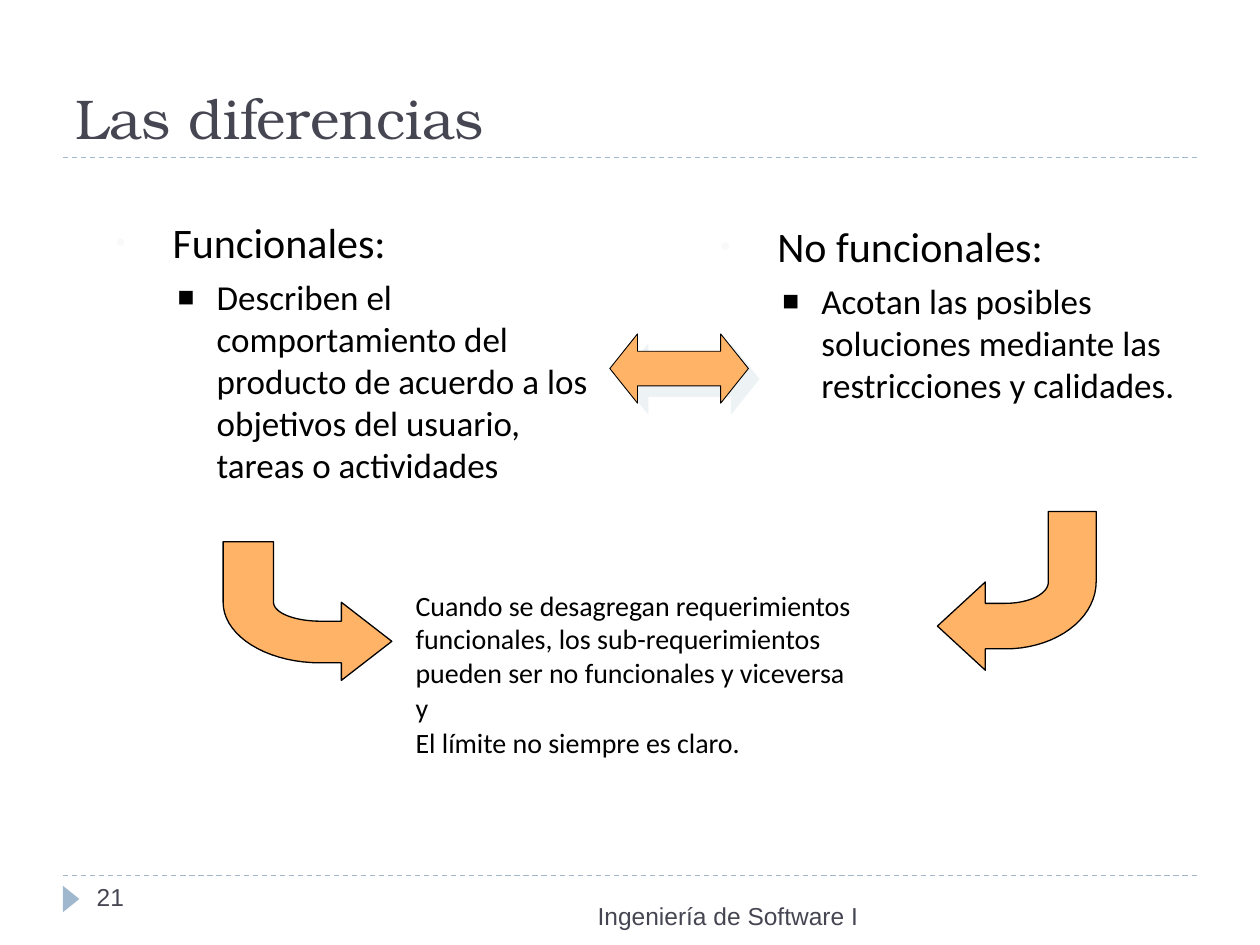
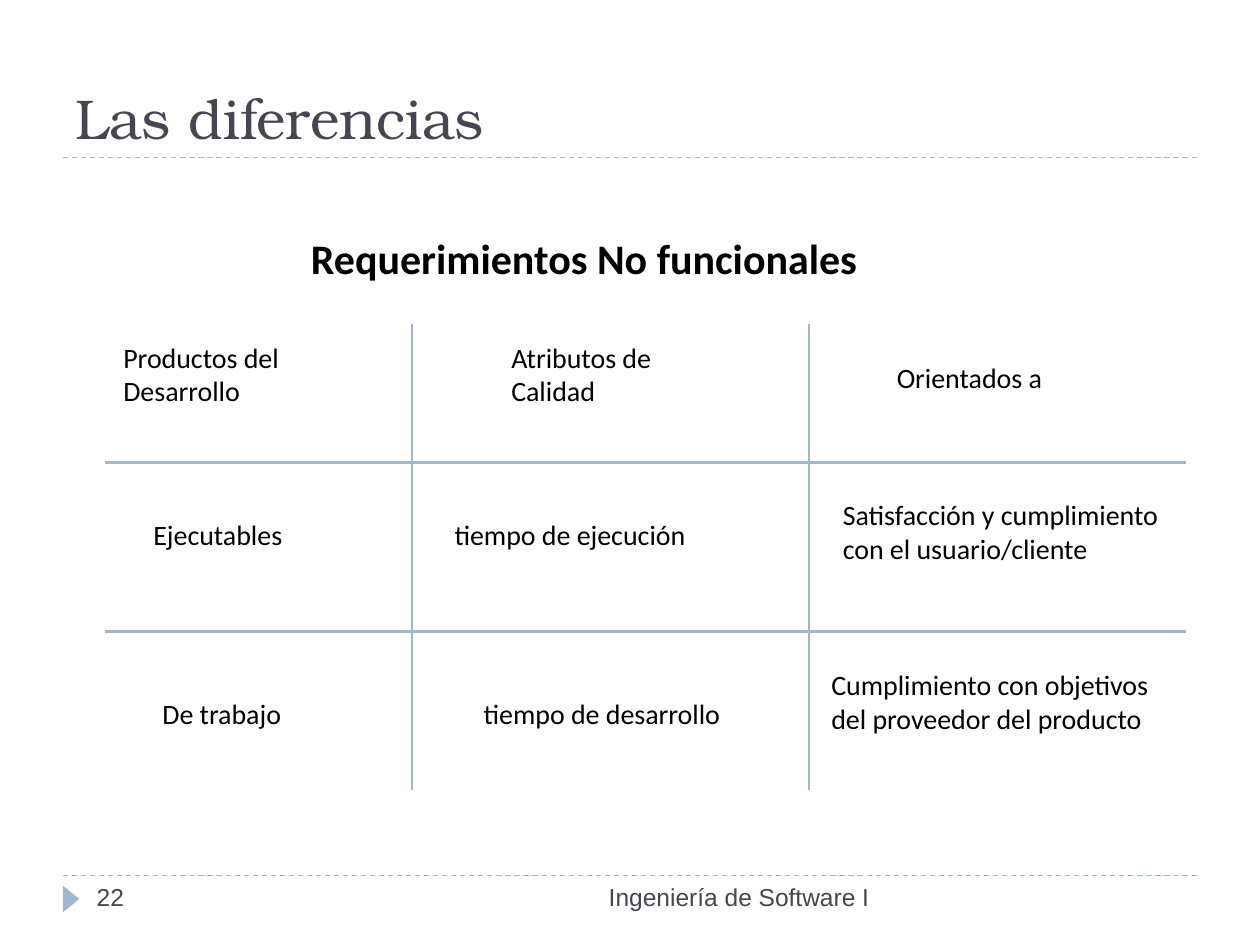
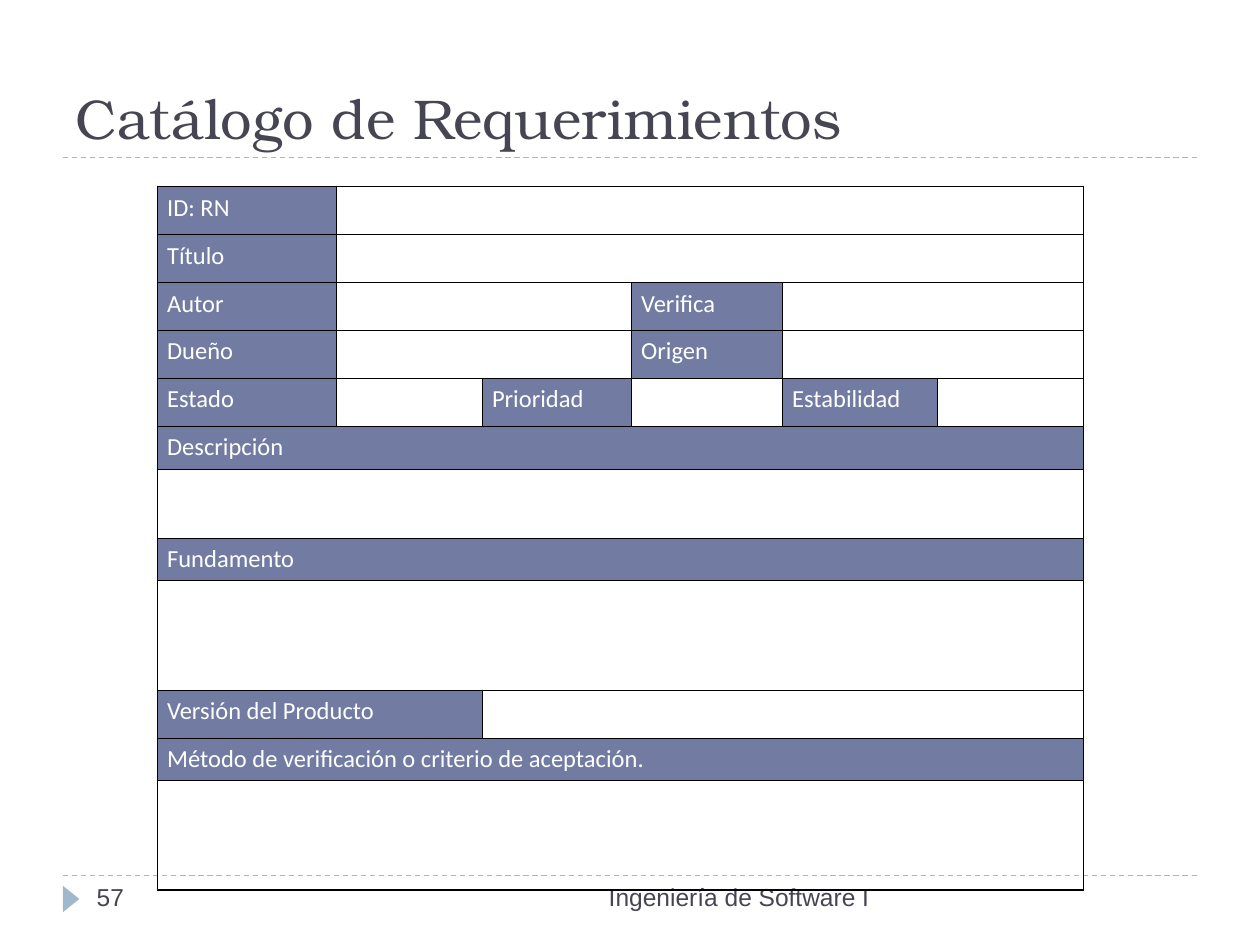
from math import cos, sin, radians

from lxml.etree import SubElement
from pptx import Presentation
from pptx.dml.color import RGBColor as Rgb
from pptx.enum.dml import MSO_LINE as Dash
from pptx.enum.shapes import MSO_CONNECTOR as Link, MSO_SHAPE as Shape
from pptx.enum.text import MSO_ANCHOR as Anchor, MSO_AUTO_SIZE as Fit, PP_ALIGN as Align
from pptx.oxml.ns import qn
from pptx.util import Pt

HUE = {
    "ink": "000000", "title": "464653", "rule": "9FB8CD", "arrow": "FFB367",
    "label": "727CA3", "light": "FFFFFF", "faint": "F9F9F9", "shade": "DDE9EC",
}
HEAD, BODY, FOOT = "TeX Gyre Bonum", "Calibri", "Arial"

# Bullet levels: margin, indent, sign, hue, percent, text size
LEVELS = [(43.2, -32.4, "•", "faint", 65, 24), (68.4, -22.3, "■", "ink", 80, 20)]

# Form grid: each row is its height and its (text, columns) cells
COLS = [102.2, 83.5, 85.2, 86.3, 88.6, 83.4]
FORM = [
    (27.4, [("ID: RN", 1), ("", 5)]),
    (27.4, [("Título", 1), ("", 5)]),
    (27.4, [("Autor", 1), ("", 2), ("Verifica", 1), ("", 2)]),
    (27.4, [("Dueño", 1), ("", 2), ("Origen", 1), ("", 2)]),
    (27.4, [("Estado", 1), ("", 1), ("Prioridad", 1), ("", 1), ("Estabilidad", 1), ("", 1)]),
    (24.5, [("Descripción", 6)]),
    (39.4, [("", 6)]),
    (24.5, [("Fundamento", 6)]),
    (62.4, [("", 6)]),
    (27.4, [("Versión del Producto", 2), ("", 4)]),
    (24.5, [("Método de verificación o criterio de aceptación.", 6)]),
    (62.4, [("", 6)]),
]

# Notes on the requirement grid: text, left, top, width
NOTES = [
    ("Productos del\nDesarrollo", 63.4, 190.8, 122),
    ("Atributos de\nCalidad", 285.1, 190.8, 111),
    ("Orientados a", 505.4, 202.3, 111),
    ("Ejecutables", 80.6, 292.3, 100),
    ("tiempo de ejecución", 252.7, 292.3, 174),
    ("Satisfacción y cumplimiento\ncon el usuario/cliente", 474.5, 280.8, 223),
    ("De trabajo", 85.7, 394.6, 93),
    ("tiempo de desarrollo", 269.3, 394.6, 171),
    ("Cumplimiento con objetivos\ndel proveedor del producto", 468, 378, 235),
]


def rgb(name):
    return Rgb.from_string(HUE[name])


def put(frame, text, size=16, font=BODY, hue="ink", bold=False, align=Align.LEFT, gap=0):
    """Write one paragraph per line of text."""
    for i, line in enumerate(text.split("\n")):
        para = frame.add_paragraph() if i else frame.paragraphs[0]
        para.alignment = align
        para.space_before = Pt(gap if i else 0)
        run = para.add_run()
        run.text = line
        face = run.font
        face.name, face.size, face.bold = font, Pt(size), bold
        face.color.rgb = rgb(hue)


def note(slide, text, x, y, w, h=26.6, **form):
    frame = slide.shapes.add_textbox(Pt(x), Pt(y), Pt(w), Pt(h)).text_frame
    frame.word_wrap = True
    put(frame, text, **form)


def rule(slide, x1, y1, x2, y2, width=1.5, dash=None):
    line = slide.shapes.add_connector(Link.STRAIGHT, Pt(x1), Pt(y1), Pt(x2), Pt(y2))
    line.line.color.rgb = rgb("rule")
    line.line.width = Pt(width)
    if dash:
        line.line.dash_style = dash
    SubElement(line._element.spPr, qn("a:effectLst"))


def paint(shape, fill, width=0):
    shape.shadow.inherit = False
    shape.fill.solid()
    shape.fill.fore_color.rgb = rgb(fill)
    if width:
        shape.line.color.rgb = rgb("ink")
        shape.line.width = Pt(width)
    else:
        shape.line.fill.background()


def place(shape, x, y, w, h):
    shape.left, shape.top, shape.width, shape.height = Pt(x), Pt(y), Pt(w), Pt(h)
    frame = shape.text_frame
    frame.word_wrap, frame.auto_size = True, Fit.NONE
    return frame


def start(deck, kind, title, page, foot=(228.2, 500.4)):
    """Add a slide with its title, dashed rules, marker and footer."""
    slide = deck.slides.add_slide(deck.slide_layouts[kind])
    frame = place(slide.shapes.title, 36, 12.2, 648, 77.8)
    frame.vertical_anchor = Anchor.BOTTOM
    put(frame, title, size=32, font=HEAD, hue="title")
    for y in (500.4, 90):
        rule(slide, 36, y, 684, y, 0.75, Dash.DASH)
    mark = slide.shapes.add_shape(
        Shape.ISOSCELES_TRIANGLE, Pt(33.1), Pt(509), Pt(15.1), Pt(9.4))
    mark.rotation = 90
    paint(mark, "rule")
    form = dict(h=28.8, size=14, font=FOOT, hue="title")
    note(slide, str(page), 48.2, 500.4, 156.2, **form)
    note(slide, "Ingeniería de Software I", *foot, 275.8, align=Align.RIGHT, **form)
    return slide


def listing(shape, text, x, y, w, h):
    """Fill a body placeholder with a heading and its point."""
    frame = place(shape, x, y, w, h)
    put(frame, text, gap=5)
    for depth, (para, level) in enumerate(zip(frame.paragraphs, LEVELS)):
        left, hang, sign, hue, part, size = level
        para.level = depth
        para.runs[0].font.size = Pt(size)
        props = para._p.get_or_add_pPr()
        props.set("marL", str(Pt(left)))
        props.set("indent", str(Pt(hang)))
        tint = SubElement(props, qn("a:buClr"))
        SubElement(tint, qn("a:srgbClr"), val=HUE[hue])
        SubElement(props, qn("a:buSzPct"), val=str(part * 1000))
        SubElement(props, qn("a:buFont"), typeface=FOOT)
        SubElement(props, qn("a:buChar"), char=sign)


def cast(shape, reach):
    """Drop a half-clear shadow down and to the right."""
    props = shape._element.spPr.find(qn("a:effectLst"))
    drop = SubElement(props, qn("a:outerShdw"), dist=str(Pt(reach)), dir="2700000",
                      algn="ctr", rotWithShape="0")
    tint = SubElement(drop, qn("a:srgbClr"), val=HUE["shade"])
    SubElement(tint, qn("a:alpha"), val="50000")


def curve(rx, ry, first, last):
    step = 5 if last > first else -5
    turns = [radians(a) for a in range(first, last + step, step)]
    return [(rx * cos(a), ry * sin(a)) for a in turns]


def bend(slide, x, y, side, outer, inner, rise, neck, tip, head):
    """Draw an arrow that comes down and turns to one side around x, y."""
    dots = [(tip, head / 2), (neck, head), (neck, outer[1])]
    dots += curve(*outer, 90, 180) + [(-outer[0], -rise), (-inner[0], -rise)]
    dots += curve(*inner, 180, 90) + [(neck, inner[1]), (neck, 0)]
    dots = [(Pt(x + side * dx), Pt(y + dy)) for dx, dy in dots]
    pen = slide.shapes.build_freeform(*dots[0])
    pen.add_line_segments(dots[1:], close=True)
    paint(pen.convert_to_shape(), "arrow", 0.75)


def edge(cell, row, col, span):
    """Draw cell borders, thicker on the outside of the form."""
    props = cell._tc.get_or_add_tcPr()
    outer = {"lnL": col == 0, "lnR": col + span == len(COLS),
             "lnT": row == 0, "lnB": row == len(FORM) - 1}
    for i, (tag, wide) in enumerate(outer.items()):
        line = props.makeelement(qn("a:" + tag), {"w": str(Pt(1.08 if wide else 0.45))})
        fill = SubElement(line, qn("a:solidFill"))
        SubElement(fill, qn("a:srgbClr"), val=HUE["ink"])
        props.insert(i, line)


def form(slide, x, y):
    high = sum(h for h, _ in FORM)
    grid = slide.shapes.add_table(
        len(FORM), len(COLS), Pt(x), Pt(y), Pt(sum(COLS)), Pt(high)).table
    grid.first_row = grid.horz_banding = False
    for col, wide in zip(grid.columns, COLS):
        col.width = Pt(wide)
    for r, (high, cells) in enumerate(FORM):
        grid.rows[r].height = Pt(high)
        c = 0
        for text, span in cells:
            cell = grid.cell(r, c)
            if span > 1:
                cell.merge(grid.cell(r, c + span - 1))
            cell.margin_left = cell.margin_right = Pt(5.5)
            if text:
                cell.fill.solid()
                cell.fill.fore_color.rgb = rgb("label")
                put(cell.text_frame, text, size=14, hue="light")
            else:
                cell.fill.background()
                para = cell.text_frame.paragraphs[0]
                SubElement(para._p, qn("a:endParaRPr"), sz="1400")
            edge(cell, r, c, span)
            c += span


def main():
    deck = Presentation()
    deck.slide_width, deck.slide_height = Pt(720), Pt(540)

    # Two kinds of requirement
    slide = start(deck, 3, "Las diferencias", 21, foot=(221.8, 511.2))
    left, right = list(slide.placeholders)[1:3]
    listing(left, "Funcionales:\nDescriben el comportamiento del producto de acuerdo "
            "a los objetivos del usuario, tareas o actividades", 48.2, 120.2, 300.2, 184.3)
    listing(right, "No funcionales:\nAcotan las posibles soluciones mediante las "
            "restricciones y calidades.", 393.8, 122.4, 300.2, 167)
    note(slide, "Cuando se desagregan requerimientos funcionales, los sub-requerimientos "
         "pueden ser no funcionales y viceversa\ny\nEl límite no siempre es claro.",
         230.4, 332.6, 298, 124.6, gap=1)
    both = slide.shapes.add_shape(
        Shape.LEFT_RIGHT_ARROW, Pt(348.5), Pt(190.8), Pt(79.2), Pt(39.6))
    both.adjustments[1] = 0.4
    paint(both, "arrow", 0.5)
    cast(both, 8.5)
    bend(slide, 182.9, 344.2, 1, outer=(55.4, 34.6), inner=(26.6, 10.8),
         rise=34.6, neck=12.2, tip=41, head=44.6)
    bend(slide, 574.6, 332.6, -1, outer=(51.8, 38.2), inner=(24.5, 12.2),
         rise=40.3, neck=11.5, tip=38.9, head=50.4)

    # Grid of non-functional requirements
    slide = start(deck, 5, "Las diferencias", 22)
    for text, x, y, w in NOTES:
        note(slide, text, x, y, w)
    for y in (264.2, 360.7):
        rule(slide, 59.8, y, 677.5, y)
    for x in (235.4, 462.2):
        rule(slide, x, 185, x, 451.4)
    note(slide, "Requerimientos No funcionales", 170.6, 129.6, 391.7, 36, size=24, bold=True)

    # Blank requirement form
    slide = start(deck, 5, "Catálogo de Requerimientos", 57)
    form(slide, 90, 106.6)

    deck.save("out.pptx")


if __name__ == "__main__":
    main()
